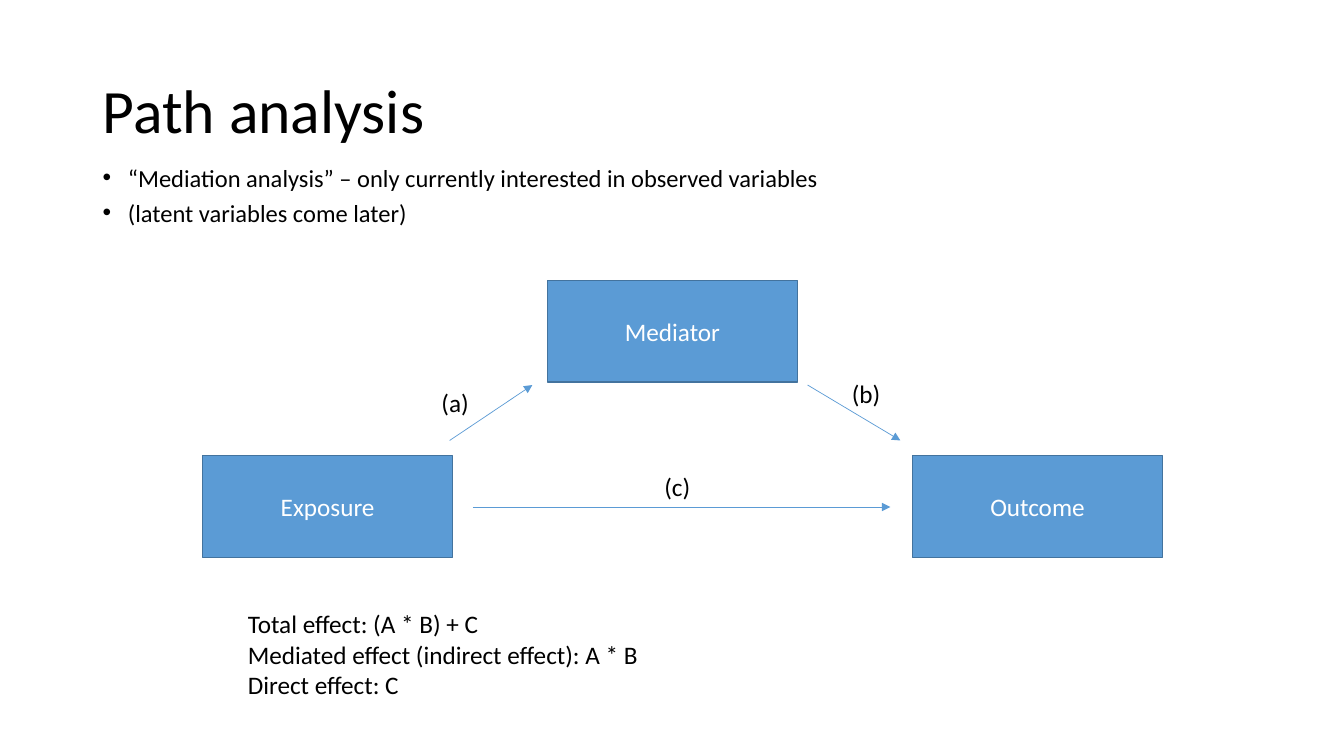
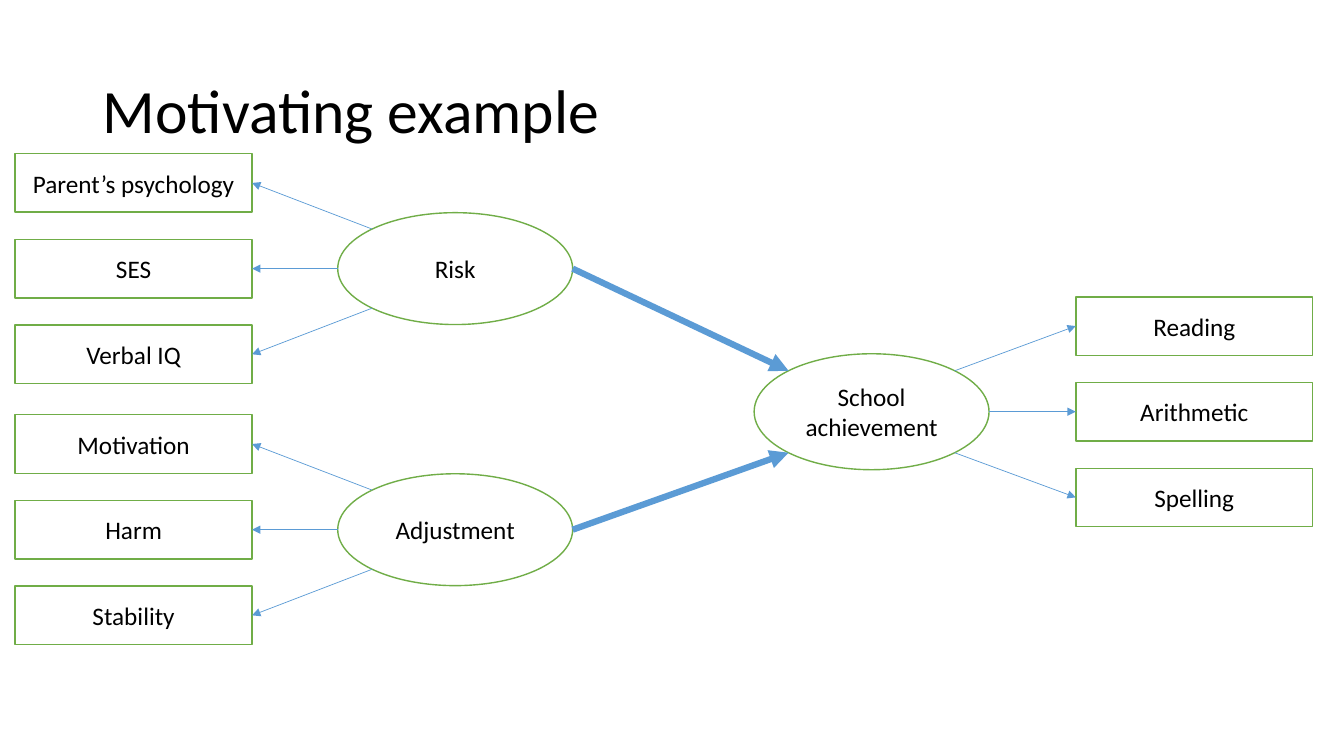
from dataclasses import dataclass
from math import cos, pi, sin

from lxml import etree
from pptx import Presentation
from pptx import util as u
from pptx.dml.color import RGBColor
from pptx.enum import shapes, text
from pptx.oxml import ns

COLORS = {
    "black": "000000",
    "white": "FFFFFF",
    "blue": "5B9BD5",
    "dark_blue": "43739E",
    "green": "70AD47",
}
FONT = "Calibri"
RECTANGLE = shapes.MSO_SHAPE.RECTANGLE
OVAL = shapes.MSO_SHAPE.OVAL
LEFT, RIGHT = 1, 3
FRAME_FORMAT = {"word_wrap": True, "vertical_anchor": text.MSO_ANCHOR.MIDDLE}
LABEL_FORMAT = {"word_wrap": True, "auto_size": text.MSO_AUTO_SIZE.SHAPE_TO_FIT_TEXT}
BULLET_FORMAT = {"line_spacing": 0.7}
TITLE_FORMAT = {"alignment": text.PP_ALIGN.LEFT, "line_spacing": 0.9}
CENTERED = {"alignment": text.PP_ALIGN.CENTER}
INDICATOR_SIZE = (2.35, 0.58)
INDICATOR_PITCH = 0.85


@dataclass(frozen=True)
class Box:
    left: float
    top: float
    width: float
    height: float

    @property
    def middle(self) -> float:
        return self.top + self.height / 2

    def lengths(self) -> list:
        return [u.Inches(v) for v in (self.left, self.top, self.width, self.height)]

    def rim(self, degrees: float) -> tuple[float, float]:
        angle = degrees * pi / 180
        return (
            self.left + self.width / 2 * (1 + cos(angle)),
            self.middle + self.height / 2 * sin(angle),
        )


@dataclass(frozen=True)
class NodeStyle:
    fill: str
    line: str
    font: str


@dataclass(frozen=True)
class Factor:
    name: str
    box: Box
    indicators: tuple[str, ...]
    indicator_left: float
    side: int


SOLID = NodeStyle("blue", "dark_blue", "white")
OUTLINED = NodeStyle("white", "green", "black")

TITLE_BOX = Box(0.92, 0.4, 11.5, 1.45)
PATH_NODES = {
    "Exposure": Box(2.01, 4.52, 2.48, 1.01),
    "Outcome": Box(9.05, 4.52, 2.48, 1.01),
    "Mediator": Box(5.43, 2.78, 2.48, 1.01),
}
PATH_ARROWS = (
    ((4.46, 4.37), (5.28, 3.82)),
    ((8.01, 3.82), (8.93, 4.37)),
    ((4.69, 5.03), (8.83, 5.03)),
)
PATH_LABELS = {"(a)": (4.28, 3.79), "(b)": (8.35, 3.7), "(c)": (6.49, 4.63)}
BULLETS = (
    "“Mediation analysis” – only currently interested in observed variables",
    "(latent variables come later)",
)
EFFECTS = (
    "Total effect: (A * B) + C",
    "Mediated effect (indirect effect): A * B",
    "Direct effect: C",
)
RISK = Factor("Risk", Box(3.35, 2.11, 2.33, 1.11),
              ("Parent’s psychology", "SES", "Verbal IQ"), 0.15, LEFT)
ADJUSTMENT = Factor("Adjustment", Box(3.35, 4.7, 2.33, 1.11),
                    ("Motivation", "Harm", "Stability"), 0.15, LEFT)
ACHIEVEMENT = Factor("School achievement", Box(7.48, 3.51, 2.33, 1.15),
                     ("Reading", "Arithmetic", "Spelling"), 10.67, RIGHT)


def color(name: str) -> RGBColor:
    return RGBColor.from_string(COLORS[name])


def apply(target, values: dict) -> None:
    for name, value in values.items():
        setattr(target, name, value)


def format_font(paragraph, size: float, font_color: str) -> None:
    apply(paragraph.font, {"size": u.Pt(size), "name": FONT})
    paragraph.font.color.rgb = color(font_color)


def add_bullet(paragraph) -> None:
    properties = paragraph._p.get_or_add_pPr()
    properties.set("marL", str(u.Inches(0.25)))
    properties.set("indent", str(u.Inches(-0.25)))
    font = etree.SubElement(properties, ns.qn("a:buFont"))
    font.set("typeface", "Arial")
    bullet = etree.SubElement(properties, ns.qn("a:buChar"))
    bullet.set("char", "•")


def add_text(slide, box: Box, lines: tuple[str, ...], frame_format: dict,
             size: float = 18, bulleted: bool = False) -> None:
    frame = slide.shapes.add_textbox(*box.lengths()).text_frame
    apply(frame, frame_format)
    for index, line in enumerate(lines):
        paragraph = frame.add_paragraph() if index else frame.paragraphs[0]
        paragraph.text = line
        if bulleted:
            add_bullet(paragraph)
            apply(paragraph, BULLET_FORMAT)
            if index:
                paragraph.space_before = u.Pt(10)
        format_font(paragraph, size, "black")


def add_node(slide, kind, box: Box, label: str, style: NodeStyle):
    shape = slide.shapes.add_shape(kind, *box.lengths())
    shape.shadow.inherit = False
    shape.fill.solid()
    shape.fill.fore_color.rgb = color(style.fill)
    shape.line.color.rgb = color(style.line)
    shape.line.width = u.Pt(1)
    apply(shape.text_frame, FRAME_FORMAT)
    paragraph = shape.text_frame.paragraphs[0]
    paragraph.text = label
    apply(paragraph, CENTERED)
    format_font(paragraph, 18, style.font)
    return shape


def add_arrow(slide, start: tuple[float, float], end: tuple[float, float],
              width: float = 0.5):
    connector = slide.shapes.add_connector(
        shapes.MSO_CONNECTOR.STRAIGHT, *[u.Inches(v) for v in (*start, *end)])
    connector.line.color.rgb = color("blue")
    connector.line.width = u.Pt(width)
    head = etree.SubElement(connector.line._get_or_add_ln(), ns.qn("a:tailEnd"))
    head.set("type", "triangle")
    etree.SubElement(connector._element.spPr, ns.qn("a:effectLst"))
    return connector


def add_factor(slide, factor: Factor) -> None:
    add_node(slide, OVAL, factor.box, factor.name, OUTLINED)
    width, height = INDICATOR_SIZE
    rightward = factor.side == RIGHT
    for step, name in enumerate(factor.indicators, start=-1):
        middle = factor.box.middle + step * INDICATOR_PITCH
        box = Box(factor.indicator_left, middle - height / 2, width, height)
        indicator = add_node(slide, RECTANGLE, box, name, OUTLINED)
        degrees = 45 * step if rightward else 180 - 45 * step
        end_x = box.left if rightward else box.left + width
        arrow = add_arrow(slide, factor.box.rim(degrees), (end_x, middle))
        arrow.end_connect(indicator, LEFT if rightward else RIGHT)


def add_titled_slide(presentation, title: str):
    slide = presentation.slides.add_slide(presentation.slide_layouts[5])
    shape = slide.shapes.title
    apply(shape, dict(zip(("left", "top", "width", "height"), TITLE_BOX.lengths())))
    apply(shape.text_frame, FRAME_FORMAT)
    paragraph = shape.text_frame.paragraphs[0]
    paragraph.text = title
    apply(paragraph, TITLE_FORMAT)
    format_font(paragraph, 44, "black")
    return slide


def build_path_analysis(presentation) -> None:
    slide = add_titled_slide(presentation, "Path analysis")
    add_text(slide, Box(0.92, 1.65, 11.5, 0.68), BULLETS, {"word_wrap": True},
             size=17.5, bulleted=True)
    for name, box in PATH_NODES.items():
        add_node(slide, RECTANGLE, box, name, SOLID)
    for start, end in PATH_ARROWS:
        add_arrow(slide, start, end)
    for label, (left, top) in PATH_LABELS.items():
        add_text(slide, Box(left, top, 0.6, 0.4), (label,), LABEL_FORMAT)
    add_text(slide, Box(2.36, 5.99, 5.66, 1.01), EFFECTS, LABEL_FORMAT)


def build_motivating_example(presentation) -> None:
    slide = add_titled_slide(presentation, "Motivating example")
    for factor in (RISK, ADJUSTMENT, ACHIEVEMENT):
        add_factor(slide, factor)
    for cause, degrees in ((RISK, 225), (ADJUSTMENT, 135)):
        add_arrow(slide, cause.box.rim(0), ACHIEVEMENT.box.rim(degrees), 4.5)


def main() -> None:
    presentation = Presentation()
    presentation.slide_width = u.Inches(13.33)
    presentation.slide_height = u.Inches(7.5)
    build_path_analysis(presentation)
    build_motivating_example(presentation)
    presentation.save("out.pptx")


if __name__ == "__main__":
    main()
